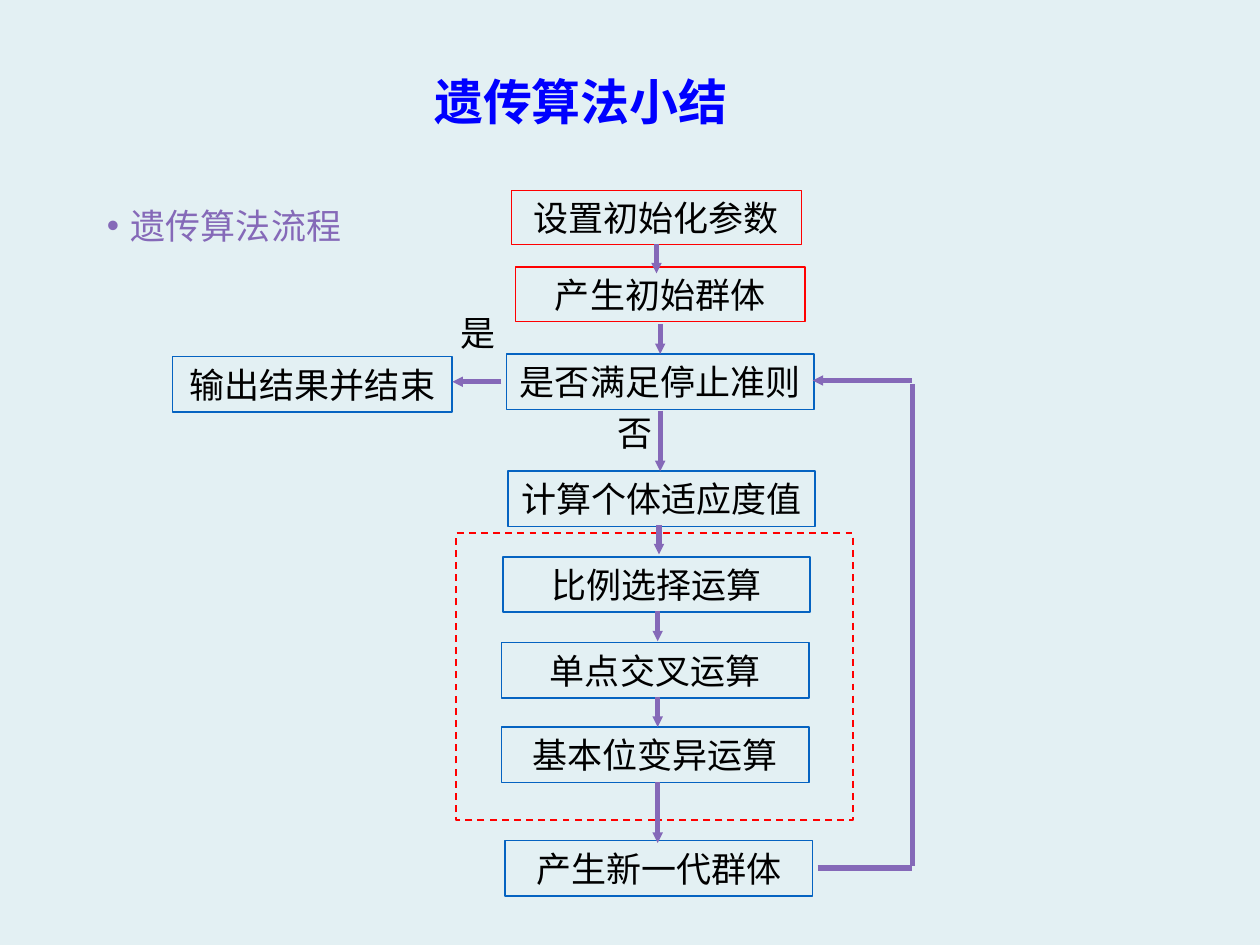
from typing import NamedTuple

from pptx import Presentation
from pptx.dml.color import RGBColor
from pptx.enum.dml import MSO_LINE_DASH_STYLE as Dash
from pptx.enum.shapes import MSO_CONNECTOR as Connector, MSO_SHAPE as Shape
from pptx.enum.text import MSO_ANCHOR as Anchor, PP_ALIGN as Align
from pptx.oxml.ns import qn
from pptx.util import Inches, Pt
from lxml.etree import SubElement

# The slide is a grid of 100 columns by 75 rows.
COLUMNS, ROWS = 100, 75
CELL = Inches(10) // COLUMNS
FONT = "Noto Sans CJK SC"
PURPLE, BLUE, RED, BLACK = "8569B8", "0563C1", "FF0000", "000000"


class Area(NamedTuple):
    column: float
    row: float
    columns: float
    rows: float


class Step(NamedTuple):
    text: str
    area: Area
    line: str = BLUE
    weight: float = 1


class Arrow(NamedTuple):
    start: tuple[float, float]
    end: tuple[float, float]
    pointed: bool = True


def main_step(text: str, column: float, row: float) -> Step:
    return Step(text, Area(column, row, 24.4, 4.4))


def setup_step(text: str, column: float, row: float) -> Step:
    return Step(text, Area(column, row, 23, 4.3), RED, 0.75)


def down(column: float, top: float, bottom: float) -> Arrow:
    return Arrow((column, top), (column, bottom))


STEPS = [
    setup_step("设置初始化参数", 40.6, 15.1),
    setup_step("产生初始群体", 40.9, 21.2),
    main_step("是否满足停止准则", 40.2, 28.1),
    Step("输出结果并结束", Area(13.7, 28.3, 22.2, 4.4)),
    main_step("计算个体适应度值", 40.3, 37.4),
    main_step("比例选择运算", 39.9, 44.2),
    main_step("单点交叉运算", 39.8, 51),
    main_step("基本位变异运算", 39.8, 57.7),
    main_step("产生新一代群体", 40.1, 66.7),
]
ANSWERS = {"是": Area(35.6, 24.2, 3.9, 4.4), "否": Area(48, 32.1, 3.9, 4.4)}
OPERATORS = Area(36.2, 42.3, 31.5, 22.8)
ARROWS = [
    down(52.1, 19.4, 21.7),
    down(52.4, 25.7, 28.1),
    down(52.4, 32.6, 37.4),
    down(52.3, 41.7, 44),
    down(52.2, 48.5, 50.9),
    down(52.2, 55.3, 57.7),
    down(52.2, 62.1, 66.9),
    Arrow((39.8, 30.3), (35.9, 30.3)),
    Arrow((64.9, 68.9), (72.4, 68.9), pointed=False),
    Arrow((72.4, 68.7), (72.4, 30.5), pointed=False),
    Arrow((72.4, 30.2), (64.5, 30.2)),
]


def cells(*counts: float) -> list[int]:
    return [round(count * CELL) for count in counts]


def color(value: str) -> RGBColor:
    return RGBColor.from_string(value)


def write(shape, text: str, ink: str = BLACK, size: float = 20, bold: bool = False,
          anchor=Anchor.MIDDLE, inset: float = 1, **para_format):
    """Fill a shape with one paragraph; inset is the side margin in columns."""
    frame = shape.text_frame
    side, = cells(inset)
    frame_format = {"word_wrap": True, "vertical_anchor": anchor,
                    "margin_left": side, "margin_right": side}
    for name, value in frame_format.items():
        setattr(frame, name, value)
    para = frame.paragraphs[0]
    for name, value in para_format.items():
        setattr(para, name, value)
    span = para.add_run()
    span.text = text
    for name, value in {"name": FONT, "size": Pt(size), "bold": bold}.items():
        setattr(span.font, name, value)
    span.font.color.rgb = color(ink)
    SubElement(span.font._element, qn("a:ea"), typeface=FONT)
    return para


def add_text(page, area: Area, text: str, **text_format):
    return write(page.shapes.add_textbox(*cells(*area)), text, **text_format)


def add_bullet(para) -> None:
    indent, = cells(1.9)
    properties = para._p.get_or_add_pPr()
    properties.set("marL", str(indent))
    properties.set("indent", str(-indent))
    SubElement(properties, qn("a:buFont"), typeface="Arial")
    SubElement(properties, qn("a:buChar"), char="•")


def add_outline(page, area: Area, line: str, weight: float):
    box = page.shapes.add_shape(Shape.RECTANGLE, *cells(*area))
    box.shadow.inherit = False
    box.fill.background()
    box.line.color.rgb = color(line)
    box.line.width = Pt(weight)
    return box


def add_step(page, step: Step) -> None:
    box = add_outline(page, step.area, step.line, step.weight)
    write(box, step.text, inset=0 if step.line == RED else 1, alignment=Align.CENTER)


def add_arrow(page, arrow: Arrow) -> None:
    link = page.shapes.add_connector(Connector.STRAIGHT, *cells(*arrow.start, *arrow.end))
    link.line.color.rgb = color(PURPLE)
    link.line.width = Pt(3)
    if arrow.pointed:
        SubElement(link.line._get_or_add_ln(), qn("a:tailEnd"), type="triangle", w="sm", len="sm")
    SubElement(link._element.spPr, qn("a:effectLst"))


def main() -> None:
    deck = Presentation()
    deck.slide_width, deck.slide_height = cells(COLUMNS, ROWS)
    page = deck.slides.add_slide(deck.slide_layouts[6])
    page.background.fill.solid()
    page.background.fill.fore_color.rgb = color("E3F0F3")

    add_text(page, Area(25.4, 3, 42.3, 7.9), "遗传算法小结 ", ink="0000FF", size=28, bold=True,
             anchor=Anchor.BOTTOM, alignment=Align.CENTER, line_spacing=0.9)
    add_bullet(add_text(page, Area(7.5, 14.1, 28.7, 6.2), "遗传算法流程", ink=PURPLE,
                        anchor=Anchor.TOP, line_spacing=1.5, space_before=Pt(7.5)))
    for step in STEPS:
        add_step(page, step)
    for answer, area in ANSWERS.items():
        add_text(page, area, answer)
    add_outline(page, OPERATORS, RED, 1).line.dash_style = Dash.DASH
    for arrow in ARROWS:
        add_arrow(page, arrow)
    deck.save("out.pptx")


if __name__ == "__main__":
    main()
